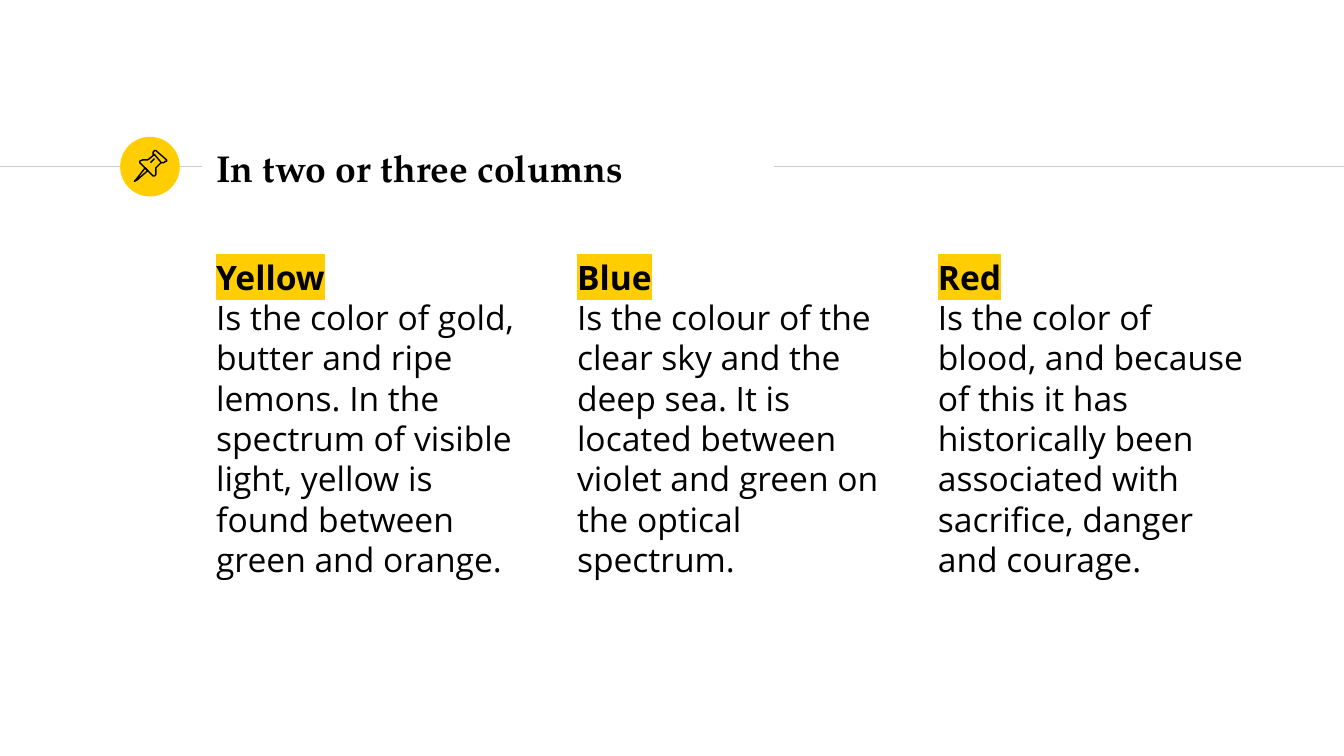
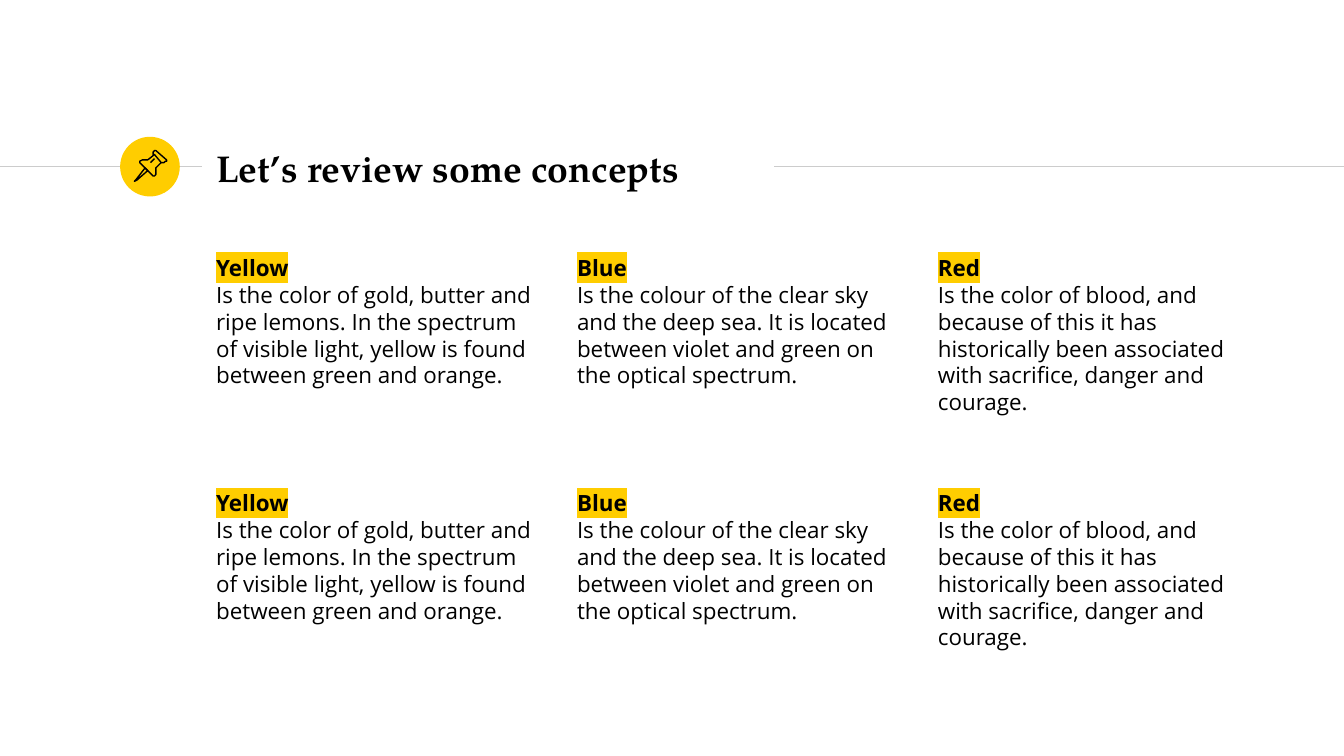
"""Two slides of colour notes set in three columns under a pinned title rule."""
import pptx
import pptx.util
import pptx.dml.color
import pptx.enum.shapes
import pptx.enum.text
import pptx.oxml
import pptx.oxml.ns
from lxml import etree

YELLOW = pptx.dml.color.RGBColor(0xFF, 0xCD, 0x00)
GREY = pptx.dml.color.RGBColor(0xCC, 0xCC, 0xCC)
BLACK = pptx.dml.color.RGBColor(0, 0, 0)
TITLE_FONT, BODY_FONT = "TeX Gyre Pagella", "Open Sans"

prs = pptx.Presentation()
prs.slide_width = pptx.util.Inches(10)
prs.slide_height = pptx.util.Inches(5.625)
U = prs.slide_width // 100
LEFT, COL_STEP, COL_W = 15.1, 26.85, 25.5
RULE_Y, ROW_STEP = 12.4, 17.5
DOT_X, DOT = 8.94, 4.44

NOTES = [
    ("Yellow", "Is the color of gold, butter and ripe lemons. In the spectrum of "
               "visible light, yellow is found between green and orange."),
    ("Blue", "Is the colour of the clear sky and the deep sea. It is located between "
             "violet and green on the optical spectrum."),
    ("Red", "Is the color of blood, and because of this it has historically been "
            "associated with sacrifice, danger and courage."),
]
SLIDES = [
    dict(title="In two or three columns", size=18, top=18.1, height=34.1, rows=1),
    dict(title="Let\u2019s review some concepts", size=12, top=17.9, height=13.2, rows=2),
]
PIN = [
    ([(108, 125), (101, 134), (100, 135), (102, 134), (110, 127)], True),
    ([(115, 115), (120, 121), (122, 121), (123, 120), (124, 120), (124, 119),
      (116, 112), (115, 112), (114, 113), (114, 115)], True),
    ([(115, 115), (110, 119), (108, 119), (106, 119), (104, 120), (104, 121),
      (114, 131), (115, 131), (116, 130), (116, 128), (116, 125), (120, 121)], False),
    ([(112, 121), (115, 118)], False),
]


def add_text(s, x, y, w, h, lines, font, size):
    tb = s.shapes.add_textbox(*(round(v * U) for v in (x, y, w, h)))
    tf = tb.text_frame
    tf.word_wrap = True
    tf.margin_left = tf.margin_right = tf.margin_top = tf.margin_bottom = U
    tf.text = "\n".join(lines)
    for p in tf.paragraphs:
        for r in p.runs:
            r.font.name, r.font.size = font, pptx.util.Pt(size)
            r.font.color.rgb = BLACK
    tf.paragraphs[0].runs[0].font.bold = True
    return tf


for page in SLIDES:
    s = prs.slides.add_slide(prs.slide_layouts[6])

    for x1, x2 in ((0, 15), (57.6, 100)):
        rule = s.shapes.add_connector(
            pptx.enum.shapes.MSO_CONNECTOR.STRAIGHT,
            round(x1 * U), round(RULE_Y * U), round(x2 * U), round(RULE_Y * U))
        rule.line.color.rgb = GREY
        rule.line.width = pptx.util.Pt(0.75)
        etree.SubElement(rule._element.spPr, pptx.oxml.ns.qn("a:effectLst"))

    dot = s.shapes.add_shape(
        pptx.enum.shapes.MSO_SHAPE.OVAL,
        round(DOT_X * U), round((RULE_Y - DOT / 2) * U), round(DOT * U), round(DOT * U))
    dot.shadow.inherit = False
    dot.fill.solid()
    dot.fill.fore_color.rgb = YELLOW
    dot.line.fill.background()

    tf = add_text(s, LEFT, 10.1, 42.4, 4.8, [page["title"]], TITLE_FONT, 20)
    tf.vertical_anchor = pptx.enum.text.MSO_ANCHOR.MIDDLE

    for row in range(page["rows"]):
        for col, note in enumerate(NOTES):
            tf = add_text(s, LEFT + col * COL_STEP, page["top"] + row * ROW_STEP,
                          COL_W, page["height"], note, BODY_FONT, page["size"])
            rPr = tf.paragraphs[0].runs[0].font._element
            mark = pptx.oxml.parse_xml(
                f'<a:highlight {pptx.oxml.ns.nsdecls("a")}><a:srgbClr val="{YELLOW}"/></a:highlight>')
            rPr.find(pptx.oxml.ns.qn("a:solidFill")).addnext(mark)

    pin = s.shapes.add_group_shape()
    for points, closed in PIN:
        fb = pin.shapes.build_freeform(*points[0], scale=U / 10)
        fb.add_line_segments(points[1:], close=closed)
        sp = fb.convert_to_shape()
        sp.shadow.inherit = False
        sp.fill.background()
        sp.line.color.rgb = BLACK
        sp.line.width = pptx.util.Pt(0.75)

prs.save("out.pptx")
